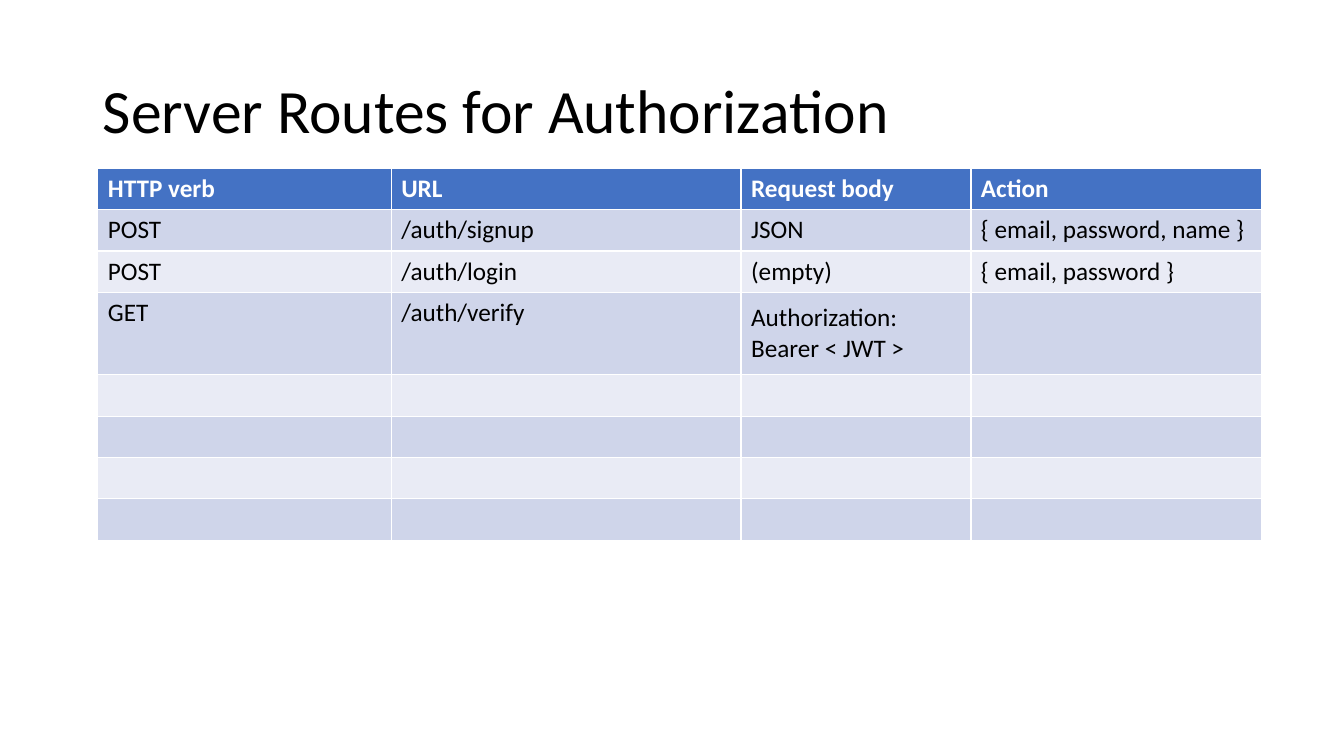
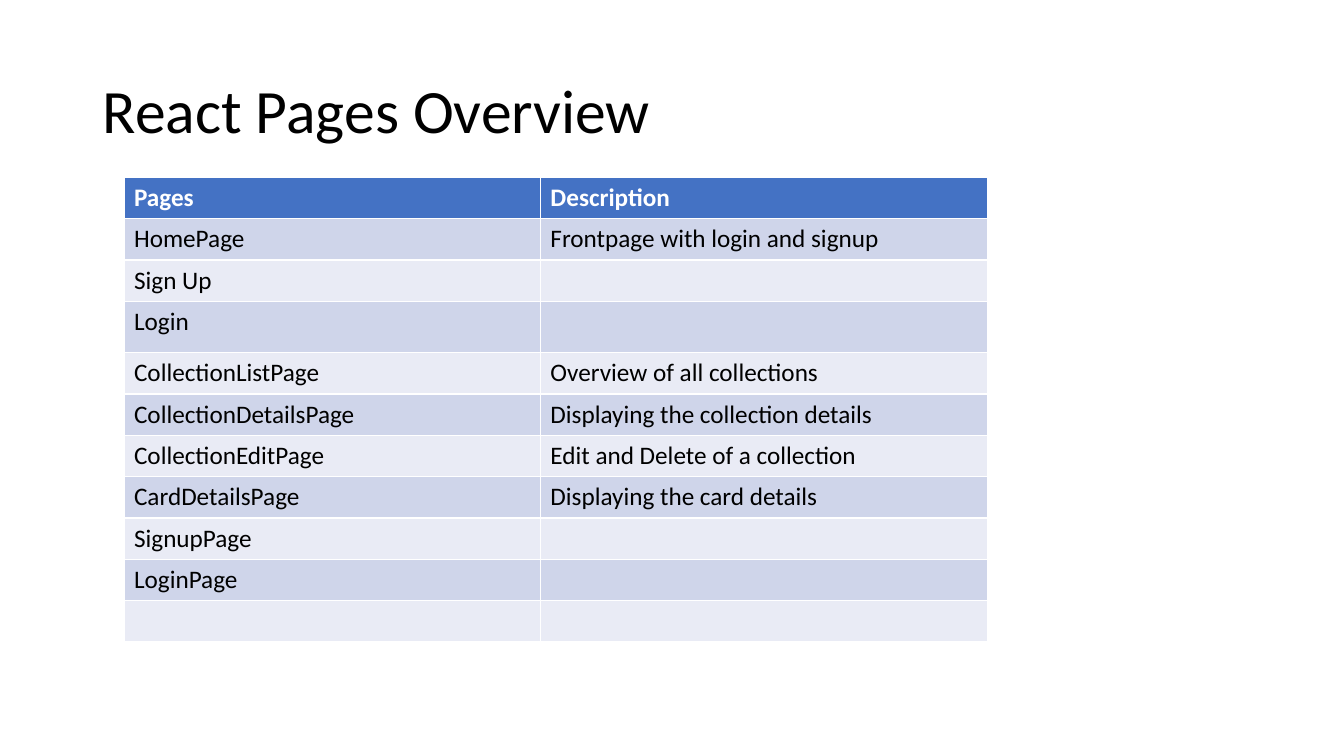
import pptx
import pptx.dml.color
import pptx.enum.text
import pptx.util

Inches = pptx.util.Inches
FONT = "Calibri"
BLACK, WHITE = "000000", "FFFFFF"
HEADER_FILL = "4472C4"
BAND_FILLS = ["CFD5EA", "E9EBF5"]
ROW_HEIGHT = 0.41
MIDDLE = pptx.enum.text.MSO_ANCHOR.MIDDLE


def color(hex_code):
    return pptx.dml.color.RGBColor.from_string(hex_code)


def write(frame, text, size=18, hex_code=BLACK, bold=False, line_spacing=None):
    paragraph = frame.paragraphs[0]
    paragraph.alignment = pptx.enum.text.PP_ALIGN.LEFT
    paragraph.line_spacing = line_spacing
    run = paragraph.add_run()
    run.text = text
    run.font.name = FONT
    run.font.size = pptx.util.Pt(size)
    run.font.bold = bold
    run.font.color.rgb = color(hex_code)


# tall_rows: row index -> height; padded_cells: cells with wide margins
slides = [
    {
        "title": "Server Routes for Authorization",
        "position": (0.97, 1.67),
        "columns": [2.91, 3.47, 2.28, 2.88],
        "tall_rows": {3: 0.82},
        "padded_cells": [(3, 2)],
        "rows": [
            ["HTTP verb", "URL", "Request body", "Action"],
            ["POST", "/auth/signup", "JSON", "{ email, password, name }"],
            ["POST", "/auth/login", "(empty)", "{ email, password }"],
            ["GET", "/auth/verify", "Authorization: Bearer < JWT >", ""],
        ] + [[""] * 4] * 4,
    },
    {
        "title": "React Pages Overview",
        "position": (1.23, 1.76),
        "columns": [4.13, 4.44],
        "tall_rows": {3: 0.51},
        "padded_cells": [],
        "rows": [
            ["Pages", "Description"],
            ["HomePage", "Frontpage with login and signup"],
            ["Sign Up", ""],
            ["Login", ""],
            ["CollectionListPage", "Overview of all collections"],
            ["CollectionDetailsPage", "Displaying the collection details"],
            ["CollectionEditPage", "Edit and Delete of a collection"],
            ["CardDetailsPage", "Displaying the card details"],
            ["SignupPage", ""],
            ["LoginPage", ""],
            ["", ""],
        ],
    },
]

presentation = pptx.Presentation()
presentation.slide_width = Inches(13.33)
presentation.slide_height = Inches(7.5)

# The layout places the title for every slide
layout = presentation.slide_layouts.get_by_name("Title Only")
layout_title = layout.placeholders[0]
layout_title.left, layout_title.top = Inches(0.92), Inches(0.4)
layout_title.width, layout_title.height = Inches(11.5), Inches(1.45)
layout_title.text_frame.vertical_anchor = MIDDLE

for content in slides:
    slide = presentation.slides.add_slide(layout)
    write(slide.shapes.title.text_frame, content["title"], size=44, line_spacing=0.9)

    rows, columns = content["rows"], content["columns"]
    heights = [content["tall_rows"].get(index, ROW_HEIGHT) for index in range(len(rows))]
    left, top = content["position"]
    table = slide.shapes.add_table(
        len(rows), len(columns), Inches(left), Inches(top),
        Inches(sum(columns)), Inches(sum(heights))).table
    for column, width in zip(table.columns, columns):
        column.width = Inches(width)

    for row_index, texts in enumerate(rows):
        table.rows[row_index].height = Inches(heights[row_index])
        is_header = row_index == 0
        fill = HEADER_FILL if is_header else BAND_FILLS[(row_index - 1) % 2]
        for column_index, text in enumerate(texts):
            cell = table.cell(row_index, column_index)
            cell.fill.solid()
            cell.fill.fore_color.rgb = color(fill)
            if text:
                write(cell.text_frame, text, bold=is_header,
                      hex_code=WHITE if is_header else BLACK)
            if (row_index, column_index) in content["padded_cells"]:
                cell.vertical_anchor = MIDDLE
                cell.margin_left = cell.margin_right = Inches(0.1)
                cell.margin_top = cell.margin_bottom = Inches(0.1)

presentation.save("out.pptx")
